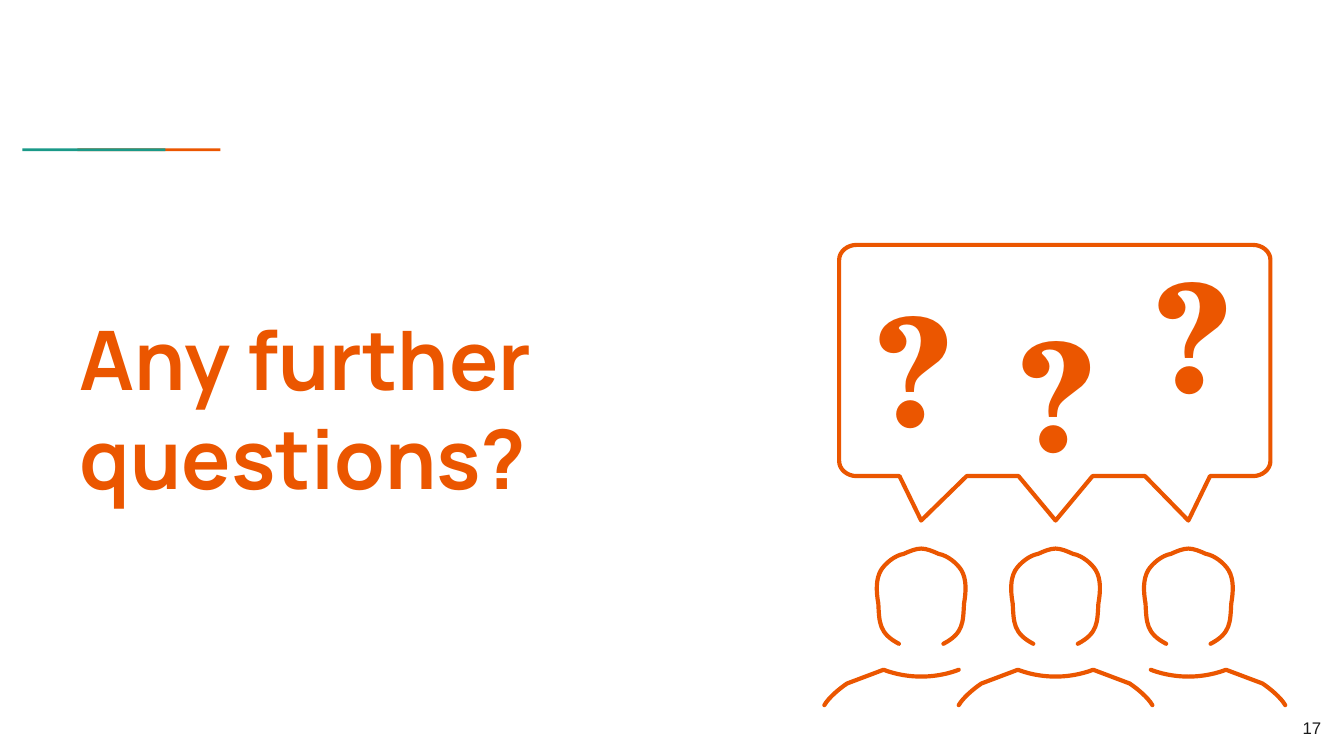
import pptx
import pptx.util
import pptx.dml.color
import pptx.enum.shapes
import pptx.enum.text
import lxml.etree
from pptx.util import Cm

COLORS = {"orange": "EB5600", "teal": "1A9988", "ink": "1A1A1A"}
ANCHOR = pptx.enum.text.MSO_ANCHOR
ALIGN = pptx.enum.text.PP_ALIGN

HALF_HEAD = [(0, 0), (0.1, 0), (0.22, 0.05), (0.33, 0.1),
             (0.5, 0.13), (0.68, 0.28), (0.76, 0.41),
             (0.86, 0.58), (0.85, 0.81), (0.81, 1.04),
             (0.79, 1.4), (0.8, 1.6), (0.42, 1.8)]
HALF_COLLAR = [(0, 0.13), (0.41, 0.13), (0.71, 0), (0.71, 0)]
HALF_SHOULDER = [(1.4, 0.26), (1.55, 0.36), (1.75, 0.53), (1.83, 0.67)]


def rgb(name):
    return pptx.dml.color.RGBColor.from_string(COLORS[name])


def write(box, text, font, size, color="orange", bold=False, align=ALIGN.LEFT,
          anchor=ANCHOR.MIDDLE, inset=0.25, spacing=None):
    frame = box.text_frame
    frame.word_wrap = True
    frame.auto_size = pptx.enum.text.MSO_AUTO_SIZE.NONE
    frame.vertical_anchor = anchor
    frame.margin_left = frame.margin_right = Cm(inset)
    frame.margin_top = frame.margin_bottom = Cm(inset)
    para = frame.paragraphs[0]
    para.alignment = align
    if spacing:
        para.line_spacing = pptx.util.Pt(spacing)
    span = para.add_run()
    span.text = text
    span.font.name = font
    span.font.size = pptx.util.Pt(size)
    span.font.bold = bold
    span.font.color.rgb = rgb(color)


def add_text(page, left, top, width, height, text, **style):
    box = page.shapes.add_textbox(Cm(left), Cm(top), Cm(width), Cm(height))
    write(box, text, **style)


def mirror(points):
    return [(-x, y) for x, y in reversed(points)]


def join(first, *others):
    points = list(first)
    for other in others:
        if other[0] != points[-1]:
            points += [other[0]] * 3
        points += other[1:]
    return points


def bend_segments(outline):
    qn = pptx.oxml.ns.qn
    segments = list(outline._element.iter(qn("a:lnTo")))
    for start in range(0, len(segments), 3):
        curve = lxml.etree.Element(qn("a:cubicBezTo"))
        segments[start].addprevious(curve)
        for segment in segments[start:start + 3]:
            curve.append(segment[0])
            segment.getparent().remove(segment)


def draw_outline(group, left, top, points, close=False):
    placed = [(Cm(left + x), Cm(top + y)) for x, y in points]
    builder = group.shapes.build_freeform(*placed[0])
    builder.add_line_segments(placed[1:], close=close)
    outline = builder.convert_to_shape()
    bend_segments(outline)
    outline.shadow.inherit = False
    outline.fill.background()
    outline.line.color.rgb = rgb("orange")
    outline.line.width = pptx.util.Pt(2.25)
    stroke = outline.line._get_or_add_ln()
    stroke.set("cap", "rnd")
    lxml.etree.SubElement(stroke, pptx.oxml.ns.qn("a:round"))


def draw_bubble(group, left, top, width, height):
    corner = [(0, 0.28), (0, 0.13), (0.15, 0), (0.33, 0)]
    top_right = [(width - x, y) for x, y in reversed(corner)]
    bottom_right = [(width - x, height - y) for x, y in corner]
    bottom_left = [(x, height - y) for x, y in reversed(corner)]
    tails = []
    for tip, before, after in [(6.6, 0.82, 0.41), (4.09, 0.7, 0.7), (1.55, 0.41, 0.86)]:
        tails += [[(tip + after, height)], [(tip, height + 0.84)], [(tip - before, height)]]
    points = join(corner, top_right, bottom_right, *tails, bottom_left, corner[:1])
    draw_outline(group, left, top, points, close=True)


def draw_person(group, center, top, left_shoulder, right_shoulder):
    body = join(mirror(HALF_COLLAR), HALF_COLLAR)
    if left_shoulder:
        body = join(mirror(HALF_SHOULDER), body)
    if right_shoulder:
        body = join(body, HALF_SHOULDER)
    draw_outline(group, center, top + 2.29, body)
    draw_outline(group, center, top, join(mirror(HALF_HEAD), HALF_HEAD))


def draw_crowd(page, left, top, width):
    group = page.shapes.add_group_shape()
    for center, *shoulders in [(1.55, True, False), (4.09, True, True), (6.6, False, True)]:
        draw_person(group, left + center, top + 5.74, *shoulders)
    draw_bubble(group, left, top, width, 4.37)
    for x, y in [(0.46, 0.73), (5.72, 0.09), (3.16, 1.21)]:
        add_text(page, left + x, top + y, 1.8, 3.15, "?",
                 font="TeX Gyre Schola", size=80, bold=True)


def draw_accent(page, left, top, width, height):
    group = page.shapes.add_group_shape()
    for color, x in [("orange", 0.4), ("teal", 0)]:
        bar = group.shapes.add_shape(pptx.enum.shapes.MSO_SHAPE.RECTANGLE,
                                     Cm(x), 0, Cm(0.05), Cm(height))
        bar.rotation = 270
        bar.shadow.inherit = False
        bar.fill.solid()
        bar.fill.fore_color.rgb = rgb(color)
        bar.line.fill.background()
    group.left, group.top, group.width, group.height = map(Cm, (left, top, width, height))


def place_title(page, left, top, width, height):
    title = page.shapes.title
    title.left, title.top, title.width, title.height = map(Cm, (left, top, width, height))
    write(title, "Any further questions?", font="Manrope", size=44, bold=True,
          anchor=ANCHOR.TOP, spacing=53)


def main():
    deck = pptx.Presentation()
    deck.slide_width, deck.slide_height = Cm(25.4), Cm(14.29)
    page = deck.slides.add_slide(deck.slide_layouts[5])
    draw_accent(page, 1.71, 2.31, 1.17, 1.04)
    place_title(page, 1.26, 5.57, 12.78, 3.84)
    draw_crowd(page, 15.86, 4.63, 8.15)
    add_text(page, 24.06, 13.56, 0.91, 0.38, "17", font="Arial", size=9, color="ink",
             align=ALIGN.RIGHT, anchor=ANCHOR.BOTTOM, inset=0)
    deck.save("out.pptx")


if __name__ == "__main__":
    main()
